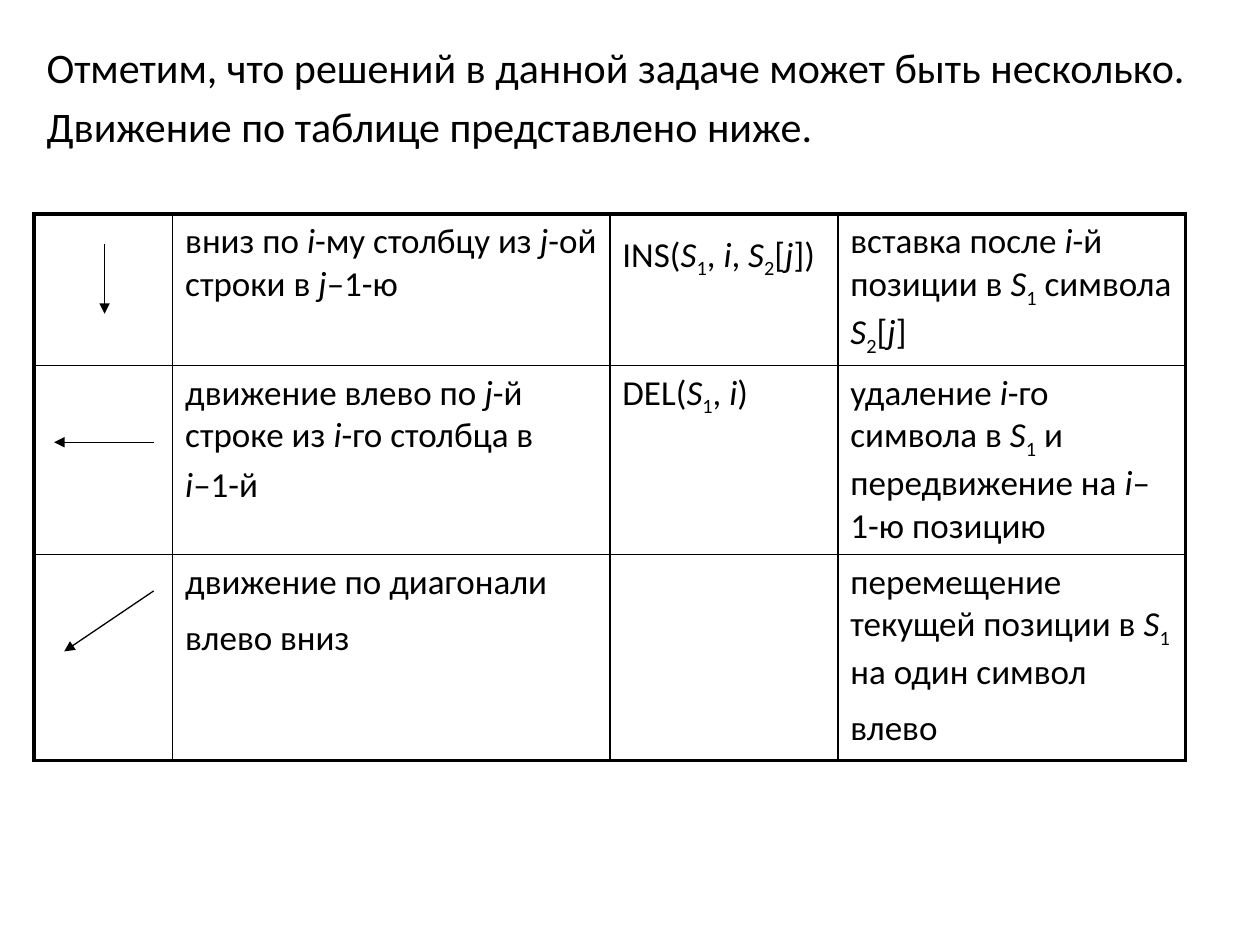
from lxml import etree
from pptx import Presentation
from pptx.dml.color import RGBColor
from pptx.enum.shapes import MSO_CONNECTOR
from pptx.enum.text import MSO_ANCHOR, MSO_AUTO_SIZE
from pptx.oxml.ns import qn
from pptx.util import Inches, Pt

STRAIGHT = MSO_CONNECTOR.STRAIGHT
TOP = MSO_ANCHOR.TOP
NO_AUTOFIT = MSO_AUTO_SIZE.NONE

COLORS = {"text": "000000", "line": "000000"}
FONT = "Calibri"
INTRO_SIZE, CELL_SIZE, WIDE_SPACE_SIZE = 24, 20, 28
THICK, THIN = 2.25, 1

INTRO = [
    "Отметим, что решений в данной задаче может быть несколько.",
    "Движение по таблице представлено ниже.",
]
COLUMN_WIDTHS = [1.1, 3.47, 1.81, 2.76]
ROW_HEIGHTS = [1.2, 1.5, 1.6]
# *italic*, ~subscript~, and a final ^ for a larger closing space
MOVES = [
    ["", "вниз по *i*-му столбцу из *j*-ой строки в *j*–1-ю ",
     "INS(*S*~1~, *i*, *S*~2~[*j*])^",
     "вставка после *i*-й позиции в *S*~1~ символа *S*~2~[*j*] "],
    ["", "движение влево по *j*-й строке из *i*-го столбца в \n*i*–1-й ",
     "DEL(*S*~1~, *i*)",
     "удаление *i*-го символа в *S*~1~ и передвижение на *i*–1-ю позицию "],
    ["", "движение по диагонали влево вниз^", "",
     "перемещение текущей позиции в *S*~1~ на один символ влево^"],
]
ARROWS = [
    ((0.83, 1.94), (0.83, 2.49)),
    ((1.22, 3.51), (0.43, 3.51)),
    ((1.22, 4.69), (0.51, 5.17)),
]


def style_paragraph(paragraph, size):
    """Set the shared font and a space before of a fifth of the text size."""
    paragraph.font.name = FONT
    paragraph.font.color.rgb = RGBColor.from_string(COLORS["text"])
    paragraph.space_before = Pt(size * 0.2)


def add_run(paragraph, text, size, italic=False, subscript=False):
    """Append one run of text."""
    run = paragraph.add_run()
    run.text = text
    run.font.size = Pt(size)
    if italic:
        run.font.italic = True
    if subscript:
        run.font._element.set("baseline", "-25000")


def add_marked_text(paragraph, text):
    """Turn marked text into plain, italic and subscript runs."""
    style_paragraph(paragraph, CELL_SIZE)
    for italic_index, part in enumerate(text.rstrip("^").split("*")):
        for sub_index, piece in enumerate(part.split("~")):
            if piece:
                add_run(paragraph, piece, CELL_SIZE, italic_index % 2 == 1, sub_index % 2 == 1)
    if text.endswith("^"):
        add_run(paragraph, " ", WIDE_SPACE_SIZE)


def set_borders(cell, widths):
    """Draw solid cell borders; widths are left, right, top, bottom."""
    properties = cell._tc.get_or_add_tcPr()
    for side, width in zip("LRTB", widths):
        line = etree.SubElement(properties, qn(f"a:ln{side}"), w=str(Pt(width)))
        fill = etree.SubElement(line, qn("a:solidFill"))
        etree.SubElement(fill, qn("a:srgbClr"), val=COLORS["line"])


def add_intro(slide):
    """Fill the body placeholder with the introduction."""
    body = slide.placeholders[1]
    body.left, body.top = Inches(0.27), Inches(0.28)
    body.width, body.height = Inches(9.29), Inches(1.02)
    frame = body.text_frame
    frame.word_wrap = True
    frame.auto_size = NO_AUTOFIT
    frame.vertical_anchor = TOP
    for index, text in enumerate(INTRO):
        paragraph = frame.add_paragraph() if index else frame.paragraphs[0]
        style_paragraph(paragraph, INTRO_SIZE)
        properties = paragraph._p.get_or_add_pPr()
        properties.set("marL", str(Inches(0.38)))
        properties.set("indent", str(Inches(-0.38)))
        properties.insert_element_before(
            properties.makeelement(qn("a:buNone")), "a:tabLst", "a:defRPr", "a:extLst")
        add_run(paragraph, text, INTRO_SIZE)


def add_moves_table(slide):
    """Add the table of moves with a thick outer frame."""
    last_row, last_column = len(ROW_HEIGHTS) - 1, len(COLUMN_WIDTHS) - 1
    table = slide.shapes.add_table(
        len(ROW_HEIGHTS), len(COLUMN_WIDTHS), Inches(0.27), Inches(1.7),
        Inches(sum(COLUMN_WIDTHS)), Inches(sum(ROW_HEIGHTS))).table
    table.first_row = table.horz_banding = False
    for column, width in zip(table.columns, COLUMN_WIDTHS):
        column.width = Inches(width)
    for row_index, (row, texts) in enumerate(zip(table.rows, MOVES)):
        row.height = Inches(ROW_HEIGHTS[row_index])
        for column_index, (cell, text) in enumerate(zip(row.cells, texts)):
            outer = (column_index == 0, column_index == last_column,
                     row_index == 0, row_index == last_row)
            set_borders(cell, [THICK if edge else THIN for edge in outer])
            cell.fill.background()
            for index, line in enumerate(text.split("\n")):
                frame = cell.text_frame
                paragraph = frame.add_paragraph() if index else frame.paragraphs[0]
                add_marked_text(paragraph, line)


def add_arrow(slide, start, end):
    """Add a thin arrow from start to end."""
    arrow = slide.shapes.add_connector(STRAIGHT, *map(Inches, start + end))
    arrow.line.width = Pt(0.75)
    arrow.line.color.rgb = RGBColor.from_string(COLORS["line"])
    etree.SubElement(arrow.line._get_or_add_ln(), qn("a:tailEnd"), type="triangle")
    etree.SubElement(arrow._element.spPr, qn("a:effectLst"))


def main():
    """Build and save the slide."""
    presentation = Presentation()
    presentation.slide_width, presentation.slide_height = Inches(10), Inches(7.5)
    slide = presentation.slides.add_slide(presentation.slide_layouts[1])
    title = slide.shapes.title._element
    title.getparent().remove(title)
    add_intro(slide)
    add_moves_table(slide)
    for start, end in ARROWS:
        add_arrow(slide, start, end)
    presentation.save("out.pptx")


main()
